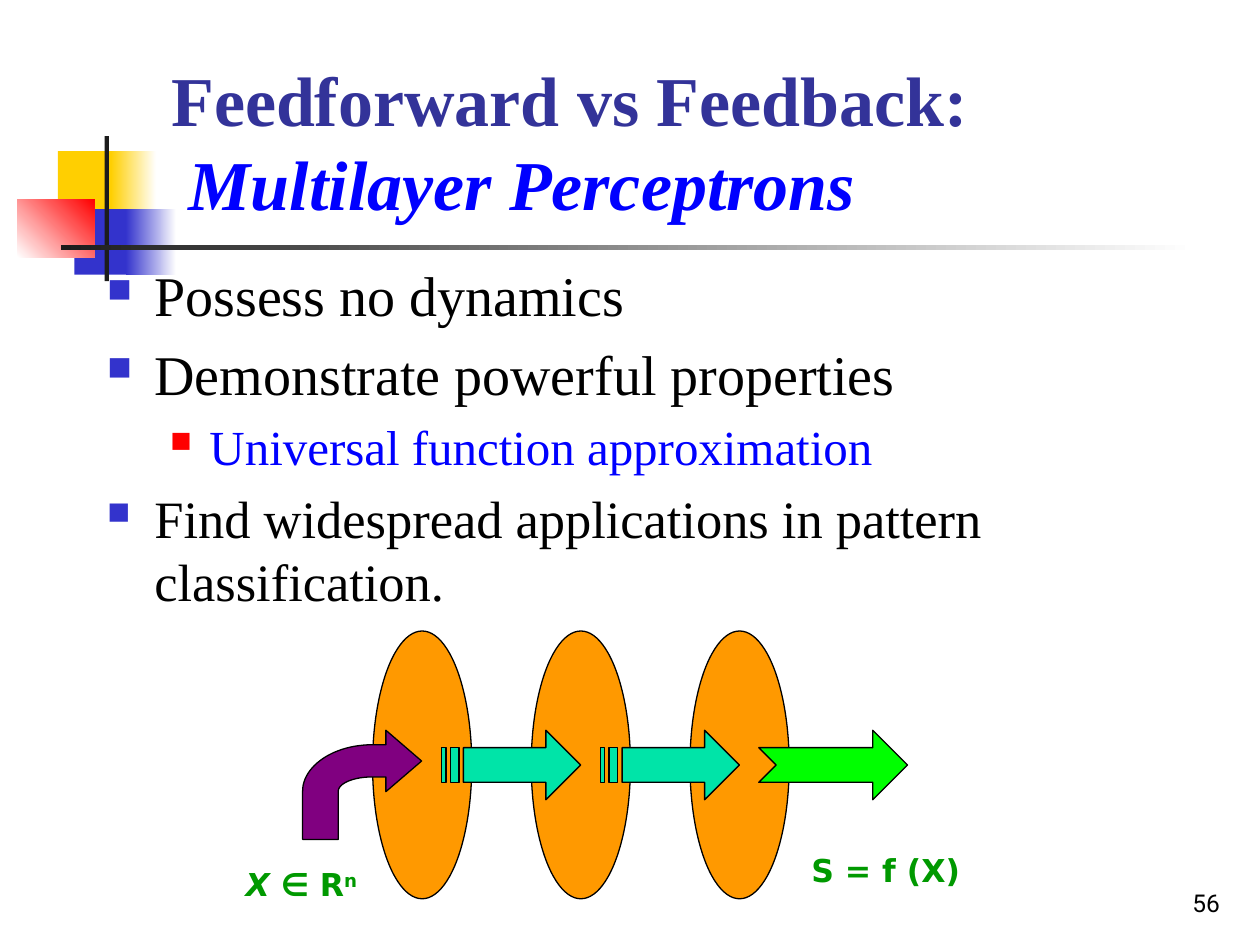
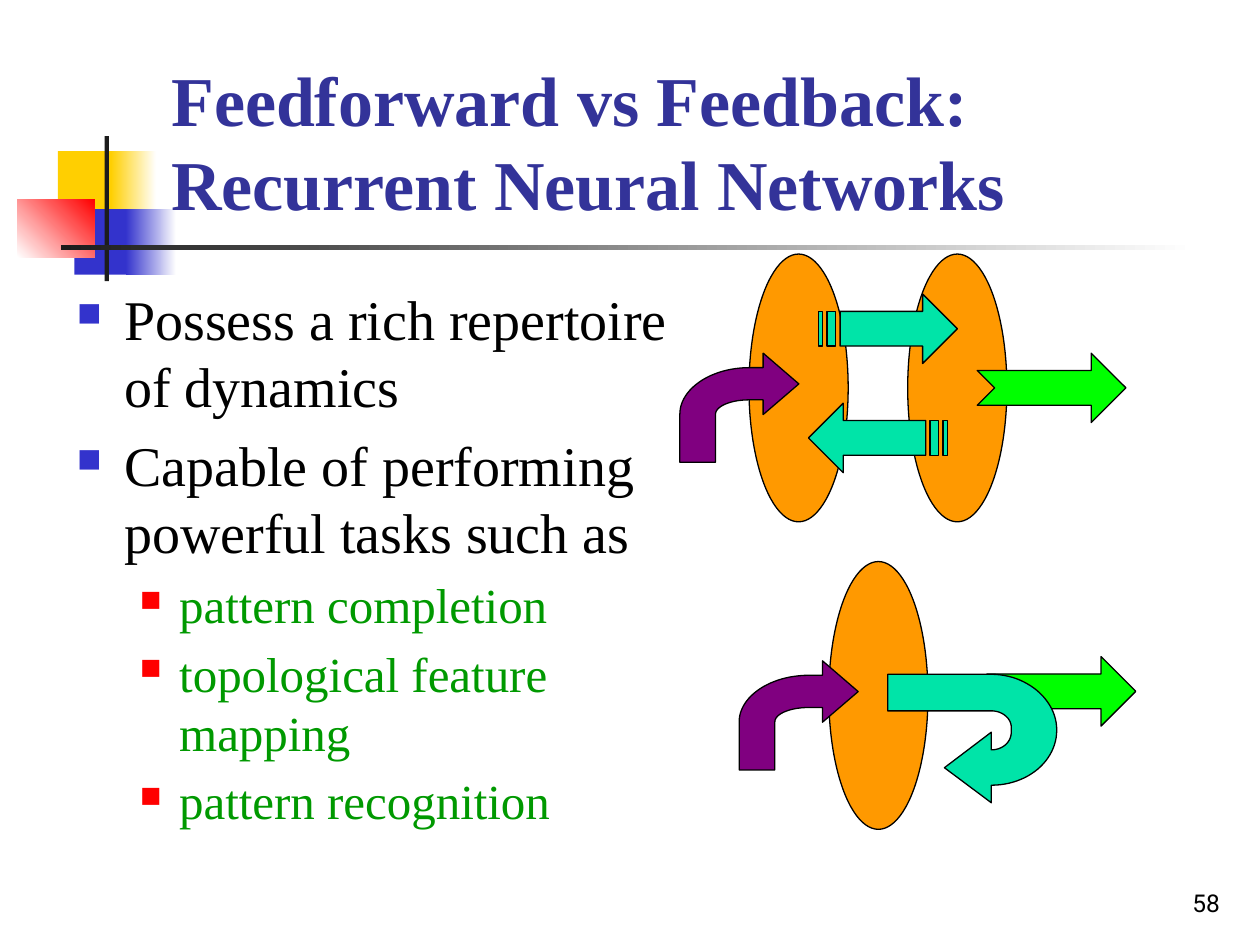
from dataclasses import dataclass

from lxml import etree
from pptx import Presentation
from pptx.dml.color import RGBColor
from pptx.enum.shapes import MSO_SHAPE
from pptx.enum.text import MSO_ANCHOR, MSO_AUTO_SIZE, PP_ALIGN
from pptx.oxml.ns import qn
from pptx.util import Pt

RECT = MSO_SHAPE.RECTANGLE
OVAL = MSO_SHAPE.OVAL
NOTCHED_ARROW = MSO_SHAPE.NOTCHED_RIGHT_ARROW
TITLE_AND_CONTENT = 1


@dataclass(frozen=True)
class Theme:
    serif: str = "Times New Roman"
    label_font: str = "DejaVu Sans"
    number_font: str = "Roboto"
    title_size: float = 40
    body_size: float = 32
    small_body_size: float = 30
    sub_size: float = 28
    label_size: float = 18
    number_size: float = 14
    title: str = "333399"
    text: str = "000000"
    blue: str = "0000FF"
    green: str = "009900"
    bullet: str = "3333CC"
    red: str = "FF0000"
    yellow: str = "FFCF01"
    dark: str = "1C1C1C"
    white: str = "FFFFFF"
    layer: str = "FF9900"
    link: str = "00E4A8"
    input: str = "800080"
    output: str = "00FF00"


T = Theme()

LAYER_W, LAYER_H = 56.7, 153
LAYER_STEP = 90.7
LINK_W, LINK_H = 79.4, 39.7

# Outlines in points: two numbers are a corner, six are a Bézier curve.
BENT_ARROW = [
    (68, 17.6), (47.6, 0), (47.6, 8.3), (39.7, 8.3),
    (17.8, 8.3, 0, 20.4, 0, 34.9), (0, 62.4), (20.4, 62.4), (20.4, 34.9),
    (20.4, 30.4, 29, 26.7, 39.7, 26.7), (47.6, 26.7), (47.6, 35.1),
]
U_TURN_ARROW = [
    (32.4, 53.4), (59.2, 73.4), (59.2, 63.4),
    (80, 63.4, 96.6, 49.5, 96.6, 31.8), (96.6, 14.4, 79.3, 0, 59.2, 0),
    (0, 0), (0, 20.9), (59.2, 20.9),
    (65.5, 20.9, 70.6, 25.2, 70.6, 30.2), (70.6, 33.1),
    (70.6, 38.9, 65.5, 43.2, 59.2, 43.2), (59.2, 33.1),
]


def rgb(color):
    return RGBColor.from_string(color)


def place(sp, x, y, w, h):
    sp.left, sp.top, sp.width, sp.height = Pt(x), Pt(y), Pt(w), Pt(h)


def style_run(r, font, size, color, bold=False, italic=False):
    r.font.name = font
    r.font.size = Pt(size)
    r.font.color.rgb = rgb(color)
    r.font.bold = bold
    r.font.italic = italic


def paint(sp, color, outlined=True):
    sp.shadow.inherit = False
    sp.fill.solid()
    sp.fill.fore_color.rgb = rgb(color)
    if outlined:
        sp.line.color.rgb = rgb(T.text)
        sp.line.width = Pt(0.75)
    else:
        sp.line.fill.background()


def paint_gradient(sp, start, end, angle):
    paint(sp, start, outlined=False)
    sp.fill.gradient()
    sp.fill.gradient_angle = angle
    for stop, color in zip(sp.fill.gradient_stops, (start, end)):
        stop.color.rgb = rgb(color)


def add_master_emblem(prs, s):
    """Draw the coloured squares and rules, then move them behind the master."""
    parts = [
        ((33.1, 86.4, 34.6, 37.4), T.yellow, None, 0),
        ((63.4, 86.4, 25.9, 37.4), T.yellow, T.white, 0),
        ((42.5, 119.5, 33.1, 37.4), T.bullet, None, 0),
        ((72, 119.5, 28.8, 37.4), T.bullet, T.white, 0),
        ((10, 113.8, 44, 33.1), T.white, T.red, 45),
        ((59.8, 77.8, 2.4, 82.8), T.dark, None, 0),
        ((34.8, 140.2, 648, 2.4), T.dark, T.white, 0),
    ]
    tree = prs.slide_master.shapes.element
    for i, (box, color, fade, angle) in enumerate(parts):
        sp = s.shapes.add_shape(RECT, *map(Pt, box))
        if fade:
            paint_gradient(sp, color, fade, angle)
        else:
            paint(sp, color, outlined=False)
        sp.element.nvSpPr.cNvPr.set("id", str(100 + i))
        tree.insert(2 + i, sp.element)


def set_master_title_size(prs):
    style = prs.slide_master.element.find(
        f".//{qn('p:titleStyle')}/{qn('a:lvl1pPr')}/{qn('a:defRPr')}")
    style.set("sz", str(T.title_size * 100))


def set_title(s, second_line, color=T.title, italic=False):
    sp = s.shapes.title
    place(sp, 90.7, 16.6, 613.4, 115.2)
    tf = sp.text_frame
    tf.auto_size = MSO_AUTO_SIZE.NONE
    tf.vertical_anchor = MSO_ANCHOR.BOTTOM
    tf.text = "Feedforward vs Feedback:"
    p = tf.paragraphs[0]
    p.alignment = PP_ALIGN.LEFT
    style_run(p.runs[0], T.serif, T.title_size, T.title, bold=True)
    p.add_line_break()
    r = p.add_run()
    r.text = second_line
    style_run(r, T.serif, T.title_size, color, bold=True, italic=italic)


def add_bullet(p, color, margin, hang):
    pPr = p._p.get_or_add_pPr()
    pPr.set("marL", str(Pt(margin)))
    pPr.set("indent", str(-Pt(hang)))
    clr = etree.SubElement(pPr, qn("a:buClr"))
    etree.SubElement(clr, qn("a:srgbClr"), val=color)
    etree.SubElement(pPr, qn("a:buSzPct"), val="60000")
    etree.SubElement(pPr, qn("a:buFont"), typeface="Wingdings")
    etree.SubElement(pPr, qn("a:buChar"), char="n")


def set_body(s, box, items):
    """Fill the body with (level, text, size, colour) items."""
    sp = s.placeholders[1]
    place(sp, *box)
    tf = sp.text_frame
    tf.auto_size = MSO_AUTO_SIZE.NONE
    for i, (level, text, size, color) in enumerate(items):
        p = tf.paragraphs[0] if i == 0 else tf.add_paragraph()
        p.text = text
        p.level = level
        if level:
            add_bullet(p, T.red, 58.5, 22.5)
        else:
            add_bullet(p, T.bullet, 27, 27)
        p.space_before = Pt(size * 0.2 if i else 0)
        style_run(p.runs[0], T.serif, size, color)


def add_text_box(shapes, x, y, w, h, text):
    tf = shapes.add_textbox(Pt(x), Pt(y), Pt(w), Pt(h)).text_frame
    tf.word_wrap = True
    tf.text = text
    return tf


def add_slide_number(s, number):
    tf = add_text_box(s.shapes, 554.4, 491.8, 149.8, 36, number)
    tf.vertical_anchor = MSO_ANCHOR.BOTTOM
    p = tf.paragraphs[0]
    p.alignment = PP_ALIGN.RIGHT
    style_run(p.runs[0], T.number_font, T.number_size, T.text)


def add_label(shapes, box, text):
    tf = add_text_box(shapes, *box, text)
    tf.auto_size = MSO_AUTO_SIZE.SHAPE_TO_FIT_TEXT
    p = tf.paragraphs[0]
    style_run(p.runs[0], T.label_font, T.label_size, T.green, bold=True)
    return p


def add_layer(shapes, x, y):
    paint(shapes.add_shape(OVAL, Pt(x), Pt(y), Pt(LAYER_W), Pt(LAYER_H)), T.layer)


def add_output_arrow(shapes, x, y):
    paint(shapes.add_shape(NOTCHED_ARROW, Pt(x), Pt(y), Pt(85), Pt(LINK_H)), T.output)


def curve_points(p0, curve, steps=24):
    """Points along a cubic Bézier curve from p0."""
    p1, p2, p3 = curve[:2], curve[2:4], curve[4:]
    for i in range(1, steps + 1):
        t = i / steps
        u = 1 - t
        yield tuple(u**3 * a + 3 * u * u * t * b + 3 * u * t * t * c + t**3 * d
                    for a, b, c, d in zip(p0, p1, p2, p3))


def flatten(outline):
    points = []
    for step in outline:
        points += [step] if len(step) == 2 else curve_points(points[-1], step)
    return points


def add_outline(shapes, x, y, outlines, color):
    paths = [[(Pt(px), Pt(py)) for px, py in flatten(o)] for o in outlines]
    fb = shapes.build_freeform(*paths[0][0])
    for i, path in enumerate(paths):
        if i:
            fb.move_to(*path[0])
        fb.add_line_segments(path[1:], close=True)
    paint(fb.convert_to_shape(Pt(x), Pt(y)), color)


def add_striped_arrow(shapes, x, y, leftward=False):
    u, neck = LINK_H / 16, LINK_W * 0.75
    top, bottom = LINK_H / 4, LINK_H * 3 / 4
    head = [(neck, 0), (neck, top), (5 * u, top), (5 * u, bottom),
            (neck, bottom), (neck, LINK_H), (LINK_W, LINK_H / 2)]
    stripes = [[(a, top), (a, bottom), (b, bottom), (b, top)]
               for a, b in ((2 * u, 4 * u), (0, u))]
    outlines = [head] + stripes
    if leftward:
        outlines = [[(LINK_W - px, py) for px, py in o] for o in outlines]
    add_outline(shapes, x, y, outlines, T.link)


def add_input_arrow(shapes, x, y):
    add_outline(shapes, x, y, [BENT_ARROW], T.input)


def fill_perceptron_slide(s):
    add_slide_number(s, "56")
    set_title(s, " Multilayer Perceptrons", T.blue, italic=True)
    set_body(s, (54, 145.4, 623.5, 224.6), [
        (0, "Possess no dynamics", T.body_size, T.text),
        (0, "Demonstrate powerful properties", T.body_size, T.text),
        (1, "Universal function approximation", T.sub_size, T.blue),
        (0, "Find widespread applications in pattern classification.",
         T.small_body_size, T.text),
    ])
    network = s.shapes.add_group_shape().shapes
    for i in range(3):
        add_layer(network, 212.9 + i * LAYER_STEP, 360.6)
    for i in range(2):
        add_striped_arrow(network, 252.4 + i * LAYER_STEP, 417.3)
    add_input_arrow(network, 172.9, 417.3)
    p = add_label(network, (133.2, 491, 80.6, 28.8), "X ")
    p.runs[0].font.italic = True
    for text in ("∈ R", "n"):
        r = p.add_run()
        r.text = text
        style_run(r, T.label_font, T.label_size, T.green, bold=True)
    r._r.get_or_add_rPr().set("baseline", "30000")
    add_label(network, (456.5, 485.3, 102.2, 26.6), "S = f (X)").line_spacing = 0.9
    add_output_arrow(network, 433.6, 417.3)


def fill_recurrent_slide(s):
    add_slide_number(s, "58")
    set_title(s, "Recurrent Neural Networks")
    tasks = ("pattern completion", "topological feature mapping", "pattern recognition")
    set_body(s, (36.7, 159.1, 356.4, 366.5), [
        (0, "Possess a rich repertoire of dynamics", T.body_size, T.text),
        (0, "Capable of performing powerful tasks such as", T.body_size, T.text),
        *((1, task, T.sub_size, T.green) for task in tasks),
    ])
    for i in range(2):
        add_layer(s.shapes, 428 + i * LAYER_STEP, 145.2)
    add_striped_arrow(s.shapes, 467.7, 168)
    add_striped_arrow(s.shapes, 462, 230.4, leftward=True)
    add_input_arrow(s.shapes, 388.5, 201.8)
    add_output_arrow(s.shapes, 558.4, 201.8)

    add_output_arrow(s.shapes, 564, 375.2)
    add_layer(s.shapes, 473.6, 320.9)
    add_input_arrow(s.shapes, 422.4, 377.6)
    add_outline(s.shapes, 507.3, 385.3, [U_TURN_ARROW], T.link)


def main():
    prs = Presentation()
    prs.slide_width, prs.slide_height = Pt(720), Pt(540)
    set_master_title_size(prs)
    layout = prs.slide_layouts[TITLE_AND_CONTENT]
    perceptrons, recurrent = (prs.slides.add_slide(layout) for _ in range(2))
    add_master_emblem(prs, perceptrons)
    fill_perceptron_slide(perceptrons)
    fill_recurrent_slide(recurrent)
    prs.save("out.pptx")


if __name__ == "__main__":
    main()
